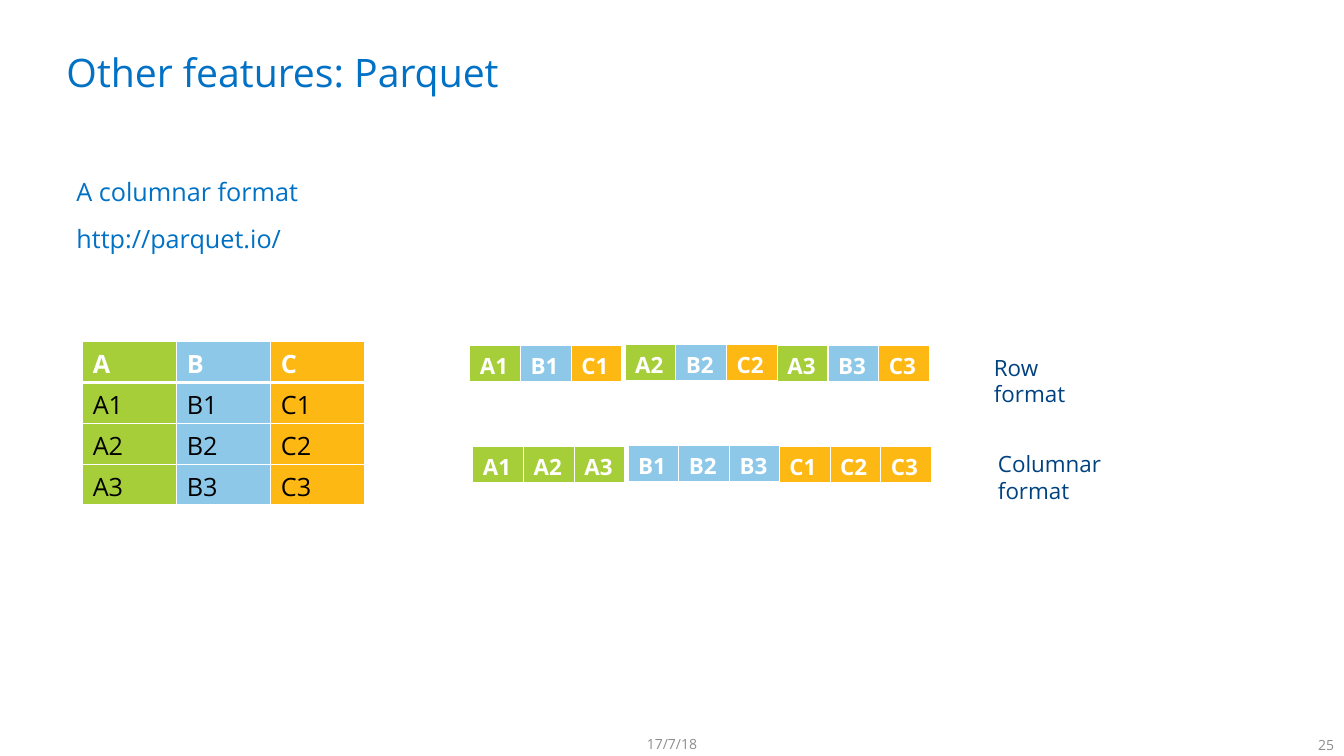
from dataclasses import dataclass

from lxml import etree
from pptx import Presentation
from pptx.dml.color import RGBColor
from pptx.enum.text import MSO_ANCHOR, PP_ALIGN
from pptx.oxml.ns import qn
from pptx.util import Inches, Pt

LEFT, CENTER, RIGHT = PP_ALIGN.LEFT, PP_ALIGN.CENTER, PP_ALIGN.RIGHT
TOP, MIDDLE = MSO_ANCHOR.TOP, MSO_ANCHOR.MIDDLE
BLANK_LAYOUT = 6


@dataclass(frozen=True)
class Theme:
    """Colours, font and type sizes of the deck."""
    font: str = "Open Sans"
    blue: str = "0071C5"
    navy: str = "004280"
    grey: str = "8C8C8C"
    white: str = "FFFFFF"
    black: str = "000000"
    title: int = 28
    body: int = 18
    label: int = 16
    footer: int = 10
    thin_border: int = 1
    thick_border: int = 3


THEME = Theme()
COLUMN_COLORS = {"A": "A6CE39", "B": "8DC8E8", "C": "FDB813"}
COLUMNS = "ABC"
RECORDS = "123"


def add_span(para, text, size, color, bold=False):
    """Add one styled run to a paragraph."""
    span = para.add_run()
    span.text = text
    span.font.name = THEME.font
    span.font.size = Pt(size)
    span.font.bold = bold
    span.font.color.rgb = RGBColor.from_string(color)


def add_text(page, box, lines, size, color, align=LEFT, anchor=TOP,
             space_before=0, inset=None):
    """Fill a wrapping text box with one paragraph per line."""
    frame = page.shapes.add_textbox(*map(Inches, box)).text_frame
    frame.word_wrap = True
    frame.vertical_anchor = anchor
    if inset is not None:
        frame.margin_left = frame.margin_right = Inches(inset)
        frame.margin_top = frame.margin_bottom = Inches(inset)
    for index, line in enumerate(lines):
        para = frame.add_paragraph() if index else frame.paragraphs[0]
        para.alignment = align
        para.space_before = Pt(space_before)
        add_span(para, line, size, color)


def set_borders(cell, top, bottom):
    """Draw white borders around a cell, before its fill is set."""
    properties = cell._tc.get_or_add_tcPr()
    widths = {"a:lnL": THEME.thin_border, "a:lnR": THEME.thin_border,
              "a:lnT": top, "a:lnB": bottom}
    for tag, width in widths.items():
        line = etree.SubElement(properties, qn(tag), w=str(Pt(width)))
        fill = etree.SubElement(line, qn("a:solidFill"))
        etree.SubElement(fill, qn("a:srgbClr"), val=THEME.white)


def add_cells(page, box, rows, size):
    """Add a table whose cells are coloured by their column letter."""
    table = page.shapes.add_table(
        len(rows), len(rows[0]), *map(Inches, box)).table
    table.horz_banding = False
    for row_index, row in enumerate(rows):
        header = row_index == 0
        top = THEME.thick_border if row_index == 1 else THEME.thin_border
        bottom = THEME.thick_border if header else THEME.thin_border
        for column_index, text in enumerate(row):
            cell = table.cell(row_index, column_index)
            set_borders(cell, top, bottom)
            cell.fill.solid()
            cell.fill.fore_color.rgb = RGBColor.from_string(
                COLUMN_COLORS[text[0]])
            add_span(cell.text_frame.paragraphs[0], text, size,
                     THEME.white if header else THEME.black, header)


def add_storage_format(page, box, groups, label):
    """Lay three groups of cells in a strip, with a label at its right."""
    left, top, width, height = box
    group_width = 1.51
    # The middle group sits slightly higher and near the last one.
    offsets = [(0, 0.01), (1.54, 0), (width - group_width, 0.01)]
    for group, (shift, drop) in zip(groups, offsets):
        add_cells(page, (left + shift, top + drop, group_width, height),
                  [group], THEME.label)
    add_text(page, label[0], [label[1]], THEME.label, THEME.navy)


def add_heading(page, box):
    """Add the title and, below it, the introductory lines."""
    left, top, width, height = box
    add_text(page, (left, top, width, 1.08), ["Other features: Parquet"],
             THEME.title, THEME.blue, inset=0)
    add_text(page, (left, top + height - 1.18, 11.5, 1.18),
             ["A columnar format", "http://parquet.io/"],
             THEME.body, THEME.blue, space_before=12)


def add_footer(page, box):
    """Add the date in the middle and the page number at the right."""
    left, top, width, height = box
    add_text(page, (left + width / 2 - 0.65, top, 1.3, height), ["17/7/18"],
             THEME.footer, THEME.grey, CENTER, MIDDLE)
    add_text(page, (left + width - 0.67, top + 0.01, 0.67, height), ["25"],
             THEME.footer, THEME.grey, RIGHT, MIDDLE)


def build_parquet_page(deck):
    """Compose the page that compares row and columnar storage."""
    page = deck.slides.add_slide(deck.slide_layouts[BLANK_LAYOUT])
    by_row = [[c + r for c in COLUMNS] for r in RECORDS]
    by_column = [[c + r for r in RECORDS] for c in COLUMNS]
    add_heading(page, (0.66, 0.48, 12, 2.4))
    add_cells(page, (0.82, 3.39, 2.8, 1.62), [list(COLUMNS)] + by_row,
              THEME.body)
    add_storage_format(page, (4.66, 3.42, 4.56, 0.37), by_row,
                       ((9.76, 3.46, 1.3, 0.37), "Row format"))
    add_storage_format(page, (4.69, 4.42, 4.55, 0.37), by_column,
                       ((9.8, 4.42, 1.3, 0.37), "Columnar format"))
    add_footer(page, (0, 7.25, 13.33, 0.25))


deck = Presentation()
deck.slide_width, deck.slide_height = Inches(13.33), Inches(7.5)
build_parquet_page(deck)
deck.save("out.pptx")
